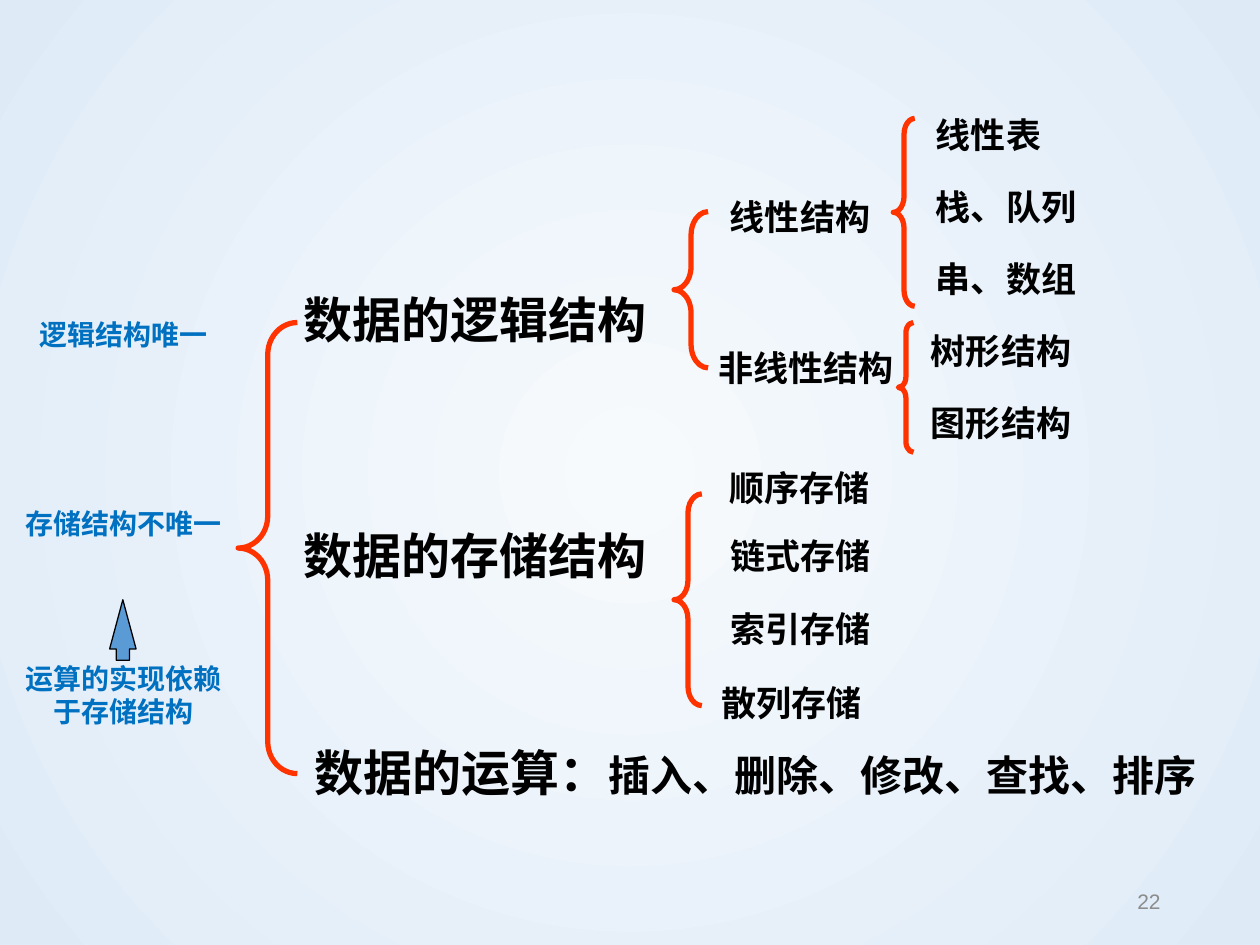
from lxml.etree import SubElement
from pptx import Presentation
from pptx.dml.color import RGBColor
from pptx.enum.shapes import MSO_SHAPE
from pptx.enum.text import MSO_ANCHOR, PP_ALIGN
from pptx.oxml.ns import qn
from pptx.util import Inches, Pt

COLUMNS, ROWS = 100, 75
CELL = Inches(0.1)
COLORS = {
    "text": "000000",
    "note": "0070C0",
    "brace": "FF3300",
    "arrow": "5B9BD5",
    "page number": "8C8C8C",
    "center": "F7FAFD",
    "edge": "DEEBF7",
}
CJK = "Noto Sans CJK SC"
LEFT, CENTER, RIGHT = PP_ALIGN.LEFT, PP_ALIGN.CENTER, PP_ALIGN.RIGHT
# Left and right inset in cells; the free side stays open so that labels fit on one line.
INSETS = {LEFT: (1, 0), CENTER: (0, 0), RIGHT: (0, 1)}


def color(name):
    return RGBColor.from_string(COLORS[name])


def cells(*lengths):
    return [round(length * CELL) for length in lengths]


def paint_background(page):
    """Radial gradient, light in the middle of the page."""
    fill = page.background.fill
    fill.gradient()
    for stop, name in zip(fill.gradient_stops, ("center", "edge")):
        stop.color.rgb = color(name)
    linear = page.element.find(".//" + qn("a:lin"))
    gradient = linear.getparent()
    gradient.remove(linear)
    path = SubElement(gradient, qn("a:path"), path="circle")
    SubElement(path, qn("a:fillToRect"), l="50000", t="50000", r="50000", b="50000")


def add_span(para, text, size, font, name, bold):
    span = para.add_run()
    span.text = text
    span.font.size = Pt(size)
    span.font.name = font
    span.font.bold = bold
    span.font.color.rgb = color(name)
    SubElement(span.font._element, qn("a:ea"), typeface=font)


def add_text(page, paragraphs, at, size=20, align=CENTER, font=CJK, fill="text",
             bold=True, insets=None, anchor=MSO_ANCHOR.TOP):
    """Each paragraph is (space before, [(text, size or None), ...]); a plain string is one paragraph."""
    if isinstance(paragraphs, str):
        paragraphs = [(0, [(paragraphs, None)])]
    box = page.shapes.add_textbox(*cells(*at))
    frame = box.text_frame
    frame.word_wrap = True
    frame.vertical_anchor = anchor
    frame.margin_left, frame.margin_right = cells(*(insets or INSETS[align]))
    for index, (space, spans) in enumerate(paragraphs):
        para = frame.add_paragraph() if index else frame.paragraphs[0]
        para.alignment = align
        if space:
            para.space_before = Pt(space)
        for text, span_size in spans:
            add_span(para, text, span_size or size, font, fill, bold)


def add_outline(page, kind, at, adjustments, line, width, fill=None):
    shape = page.shapes.add_shape(kind, *cells(*at))
    shape.shadow.inherit = False
    for index, value in enumerate(adjustments):
        shape.adjustments[index] = value
    if fill:
        shape.fill.solid()
        shape.fill.fore_color.rgb = color(fill)
    else:
        shape.fill.background()
    shape.line.color.rgb = color(line)
    shape.line.width = Pt(width)


def add_brace(page, at, curve=0.69):
    add_outline(page, MSO_SHAPE.LEFT_BRACE, at, (curve, 0.5), "brace", 3)


def add_braces(page):
    add_brace(page, (18.9, 25.6, 4.7, 35.8), curve=0.54)
    add_brace(page, (53.5, 16.8, 2.7, 12.4))
    add_brace(page, (53.5, 39.2, 2.2, 16.8))
    add_brace(page, (70.9, 9.4, 1.7, 14.9), curve=0.74)
    add_brace(page, (71.3, 25.6, 1.2, 10.3))


def add_topics(page):
    for text, top in (("数据的逻辑结构", 22.5), ("数据的存储结构", 41.2)):
        add_text(page, text, (21.9, top, 31.6, 5.7), size=28)
    operations = [("数据的运算：", 28), ("插入、删除、修改、查找、排序", 24)]
    add_text(page, [(0, operations)], (24, 58.4, 73.1, 5.7), align=LEFT)


def add_branches(page):
    branches = (
        ("线性结构", 56.1, 15, 14.8, CENTER),
        ("非线性结构", 55.1, 27, 16.8, RIGHT),
        ("顺序存储", 56, 36.5, 14, RIGHT),
        ("链式存储", 57, 41.9, 13.1, CENTER),
        ("索引存储", 57, 47.7, 14, LEFT),
        ("散列存储", 55, 53.6, 15.6, CENTER),
    )
    for text, left, top, width, align in branches:
        add_text(page, text, (left, top, width, 4.4), align=align)


def add_leaves(page):
    leaves = ("线性表", "栈、队列", "串、数组", "树形结构", "图形结构")
    for row, text in enumerate(leaves):
        left = 73.3 if row < 3 else 72.9
        add_text(page, text, (left, 8.5 + 5.72 * row, 13.1, 4.4), align=LEFT)


def add_notes_column(page):
    notes = [
        (0, [("逻辑结构唯一", None)]),
        (89, [("存储结构不唯一", None)]),
        (69, [("运算的实现依赖于存储结构", None)]),
    ]
    add_text(page, notes, (0.7, 24.7, 18.2, 35.1), size=16, fill="note", insets=(1, 1))
    add_outline(page, MSO_SHAPE.UP_ARROW, (8.7, 47.6, 2.1, 4.8), (0.5, 1.86),
                "text", 0.75, fill="arrow")


def main():
    deck = Presentation()
    deck.slide_width, deck.slide_height = cells(COLUMNS, ROWS)
    page = deck.slides.add_slide(deck.slide_layouts[6])
    paint_background(page)
    add_braces(page)
    add_topics(page)
    add_branches(page)
    add_leaves(page)
    add_notes_column(page)
    add_text(page, "22", (70.6, 69.5, 22.5, 4), size=12, align=RIGHT, font="Arial",
             fill="page number", bold=False, anchor=MSO_ANCHOR.MIDDLE)
    deck.save("out.pptx")


if __name__ == "__main__":
    main()
